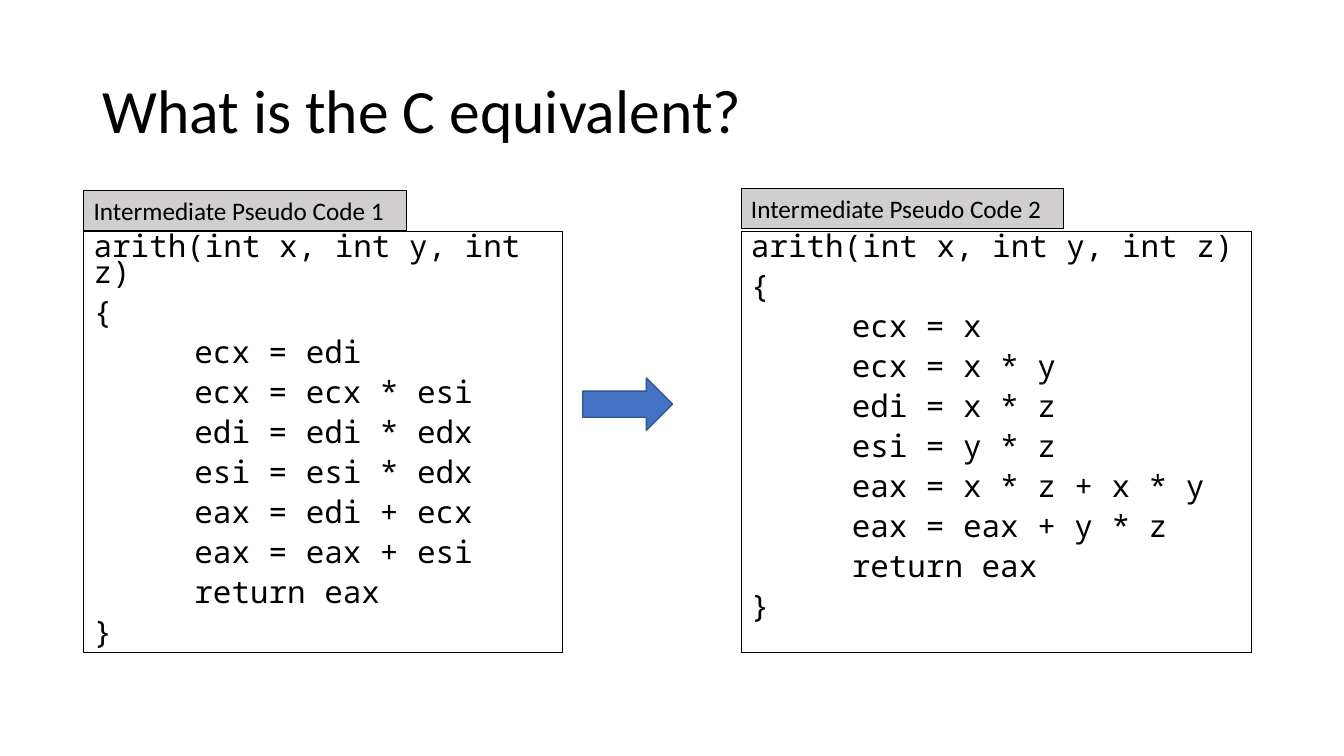
from lxml.etree import SubElement
from pptx import Presentation
from pptx.dml.color import RGBColor
from pptx.enum.shapes import MSO_SHAPE as Shape
from pptx.enum.text import MSO_ANCHOR as Anchor, MSO_AUTO_SIZE as AutoSize
from pptx.enum.text import PP_ALIGN as Align
from pptx.oxml.ns import qn
from pptx.util import Emu, Pt

# Content
TITLE = "What is the C equivalent?"
HEADER = "arith(int x, int y, int z)"
PANELS = [
    {
        "label": "Intermediate Pseudo Code 1",
        "left": 83, "width": 475, "label_top": 189,
        "body": ["ecx = edi", "ecx = ecx * esi", "edi = edi * edx",
                 "esi = esi * edx", "eax = edi + ecx", "eax = eax + esi",
                 "return eax"],
    },
    {
        "label": "Intermediate Pseudo Code 2",
        "left": 735, "width": 506, "label_top": 187,
        "body": ["ecx = x", "ecx = x * y", "edi = x * z", "esi = y * z",
                 "eax = x * z + x * y", "eax = eax + y * z", "return eax"],
    },
]

# Layout in px, 100 px to the inch
PX = 9144
SLIDE_SIZE = (1333, 750)
TITLE_BOX = (92, 40, 1150, 145)
ARROW_BOX = (578, 375, 89, 52)
LABEL_SIZE = (320, 40)
CODE_TOP, CODE_HEIGHT = 230, 417
CODE_TAB = 100

COLORS = {"ink": "000000", "label": "D0CECE",
          "arrow": "4472C4", "arrow_line": "325491"}
TEXT_FONT, CODE_FONT = "Calibri", "Noto Sans Mono"


def color(name):
    return RGBColor.from_string(COLORS[name])


def px(*lengths):
    return [Emu(length * PX) for length in lengths]


def add_box(slide, kind, box, fill=None, line="ink", line_width=0.75):
    shape = slide.shapes.add_shape(kind, *px(*box))
    shape.shadow.inherit = False
    if fill:
        shape.fill.solid()
        shape.fill.fore_color.rgb = color(fill)
    else:
        shape.fill.background()
    shape.line.color.rgb = color(line)
    shape.line.width = Pt(line_width)
    return shape


def set_text(shape, text, font, size, anchor=Anchor.TOP,
             line_spacing=None, space_before=0):
    frame = shape.text_frame
    frame.word_wrap = True
    frame.vertical_anchor = anchor
    frame.text = text
    for paragraph in frame.paragraphs:
        paragraph.alignment = Align.LEFT
        paragraph.line_spacing = line_spacing
        paragraph.space_before = Pt(space_before)
        for run in paragraph.runs:
            run.font.name = font
            run.font.size = Pt(size)
            run.font.color.rgb = color("ink")


def add_tab_stop(paragraph, position):
    tab_list = SubElement(paragraph._p.get_or_add_pPr(), qn("a:tabLst"))
    SubElement(tab_list, qn("a:tab"), pos=str(position * PX), algn="l")


def add_panel(slide, panel):
    left = panel["left"]
    code_box = (left, CODE_TOP, panel["width"], CODE_HEIGHT)
    code = add_box(slide, Shape.RECTANGLE, code_box)
    lines = [HEADER, "{", *("\t" + line for line in panel["body"]), "}"]
    set_text(code, "\n".join(lines), CODE_FONT, 22.1,
             line_spacing=0.7, space_before=10)
    for paragraph in code.text_frame.paragraphs:
        add_tab_stop(paragraph, CODE_TAB)

    label_box = (left, panel["label_top"], *LABEL_SIZE)
    label = add_box(slide, Shape.RECTANGLE, label_box, fill="label")
    set_text(label, panel["label"], TEXT_FONT, 18)
    label.text_frame.auto_size = AutoSize.SHAPE_TO_FIT_TEXT


def main():
    presentation = Presentation()
    presentation.slide_width, presentation.slide_height = px(*SLIDE_SIZE)
    slide = presentation.slides.add_slide(presentation.slide_layouts[6])

    # Title
    title = slide.shapes.add_textbox(*px(*TITLE_BOX))
    set_text(title, TITLE, TEXT_FONT, 44, Anchor.MIDDLE, line_spacing=0.9)

    # Code panels and the arrow between them
    for panel in PANELS:
        add_panel(slide, panel)
    add_box(slide, Shape.RIGHT_ARROW, ARROW_BOX, "arrow", "arrow_line", 1)

    presentation.save("out.pptx")


if __name__ == "__main__":
    main()
